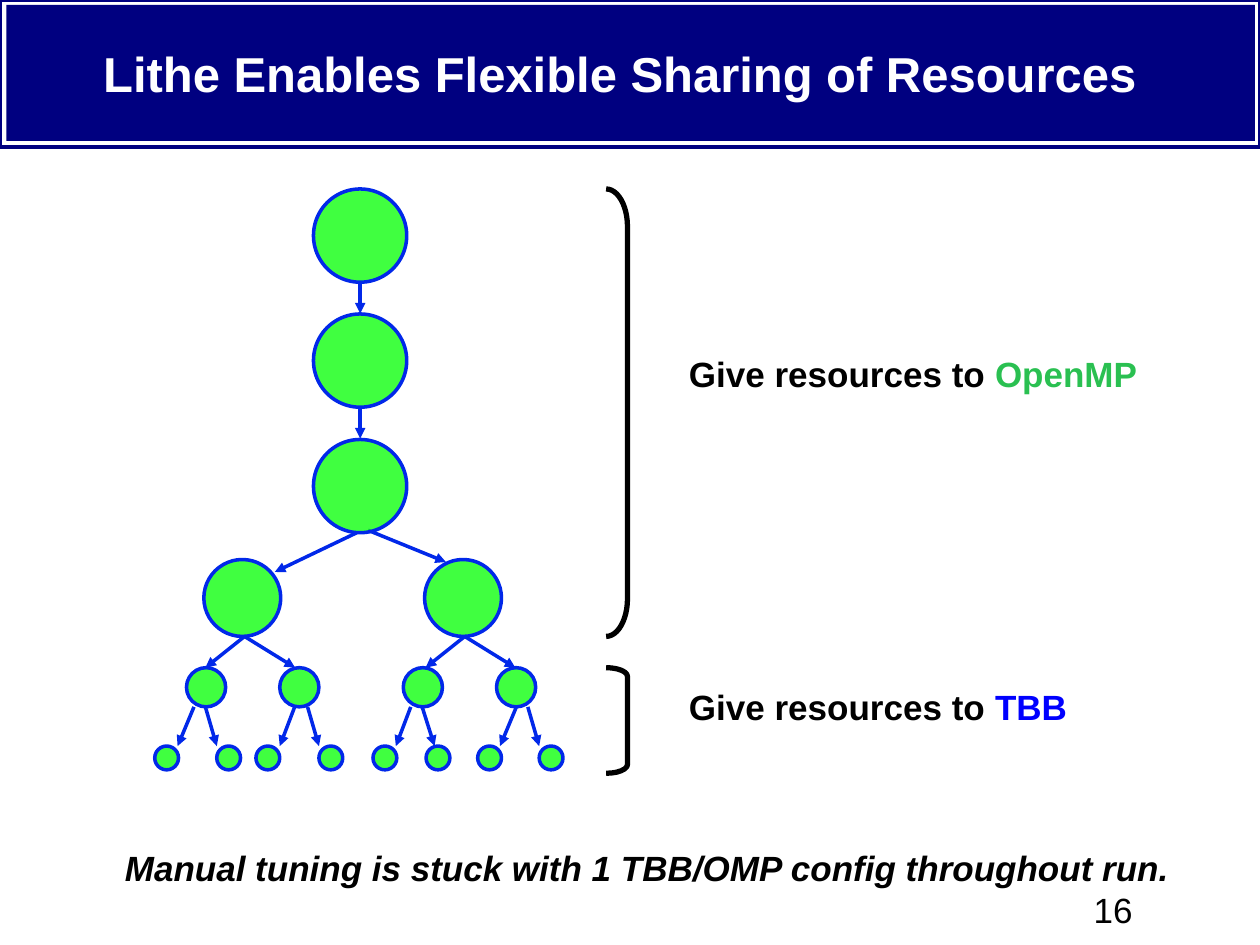
import pptx
import pptx.util
import pptx.dml.color
import pptx.enum.shapes
import pptx.enum.text
import pptx.oxml.ns
from lxml import etree

Cm, Pt, qn = pptx.util.Cm, pptx.util.Pt, pptx.oxml.ns.qn
MSO = pptx.enum.shapes.MSO_SHAPE
ALIGN, ANCHOR = pptx.enum.text.PP_ALIGN, pptx.enum.text.MSO_ANCHOR
NAVY, BLUE, GREEN, BLACK = "000080", "0128E9", "00FF00", "000000"


def rgb(color):
    return pptx.dml.color.RGBColor.from_string(color)


def add_text(box, runs, size, align, bold=True, italic=False, wrap=True, anchor=ANCHOR.TOP):
    tf = s.shapes.add_textbox(*[Cm(v) for v in box]).text_frame
    tf.word_wrap = wrap
    tf.vertical_anchor = anchor
    p = tf.paragraphs[0]
    p.alignment = align
    p.font.name, p.font.size = "Arial", Pt(size)
    p.font.bold, p.font.italic = bold, italic
    for text, color in runs:
        r = p.add_run()
        r.text = text
        r.font.color.rgb = rgb(color)


prs = pptx.Presentation()
prs.slide_width, prs.slide_height = Cm(25.4), Cm(19.05)
s = prs.slides.add_slide(prs.slide_layouts[6])

banner = s.shapes.add_shape(MSO.RECTANGLE, Cm(0.13), Cm(0.1), Cm(25.17), Cm(2.74))
banner.shadow.inherit = False
banner.fill.solid()
banner.fill.fore_color.rgb = rgb(NAVY)
banner.line.fill.background()

frame = s.shapes.add_shape(MSO.RECTANGLE, 0, 0, prs.slide_width, Cm(2.97))
frame.shadow.inherit = False
frame.fill.background()
frame.line.color.rgb = rgb(NAVY)
frame.line.width = Pt(2)

add_text((0.43, 0.2, 24.13, 2.54), [("Lithe Enables Flexible Sharing of Resources", "FFFFFF")],
         28, ALIGN.CENTER, anchor=ANCHOR.MIDDLE)

for top, height, curve, label_top, label_width, name, color in [
    (3.81, 9.02, 1.76, 6.99, 9.73, "OpenMP", "2AC051"),
    (13.46, 2.13, 0.41, 13.69, 8.13, "TBB", "0000FF"),
]:
    bracket = s.shapes.add_shape(MSO.RIGHT_BRACKET, Cm(12.22), Cm(top), Cm(0.43), Cm(height))
    bracket.adjustments[0] = curve
    bracket.shadow.inherit = False
    bracket.fill.background()
    bracket.line.color.rgb = rgb(BLACK)
    bracket.line.width = Pt(3)
    add_text((13.64, label_top, label_width, 1.12),
             [("Give resources to ", BLACK), (name, color)], 20, ALIGN.LEFT, wrap=False)

arrows = [(7.26, 5.69, 7.26, 6.32), (7.26, 8.2, 7.26, 8.84),
          (7.42, 10.69, 8.99, 11.33), (7.19, 10.74, 5.54, 11.53)]
for x in (4.93, 9.37):
    arrows += [(x, 12.83, x - 0.79, 13.46), (x, 12.83, x + 1.02, 13.46)]
for x1, x2 in [(3.91, 3.58), (4.14, 4.37), (5.94, 5.64), (6.2, 6.43),
               (8.28, 7.98), (8.51, 8.76), (10.41, 10.08), (10.64, 10.87)]:
    arrows.append((x1, 14.25, x2, 15.04))

for ends in arrows:
    arrow = s.shapes.add_connector(pptx.enum.shapes.MSO_CONNECTOR.STRAIGHT, *[Cm(v) for v in ends])
    arrow.line.color.rgb = rgb(BLUE)
    arrow.line.width = Pt(2)
    etree.SubElement(arrow.line._get_or_add_ln(), qn("a:tailEnd"), type="triangle")
    etree.SubElement(arrow._element.spPr, qn("a:effectLst"))

for top, size, lefts in [
    (3.81, 1.88, [6.32]),
    (6.33, 1.88, [6.32]),
    (8.86, 1.88, [6.32]),
    (11.28, 1.55, [4.11, 8.56]),
    (13.46, 0.79, [3.76, 5.64, 8.13, 10.01]),
    (15.04, 0.48, [3.12, 4.37, 5.16, 6.43, 7.52, 8.59, 9.63, 10.87]),
]:
    for left in lefts:
        node = s.shapes.add_shape(MSO.OVAL, Cm(left), Cm(top), Cm(size), Cm(size))
        node.shadow.inherit = False
        node.fill.solid()
        node.fill.fore_color.rgb = rgb(GREEN)
        fill = node._element.spPr.find(qn("a:solidFill"))
        etree.SubElement(fill[0], qn("a:alpha"), val="75000")
        node.line.color.rgb = rgb(BLUE)
        node.line.width = Pt(2)

add_text((2.18, 16.94, 21.74, 1.12),
         [("Manual tuning is stuck with 1 TBB/OMP config throughout run.", BLACK)],
         20, ALIGN.CENTER, italic=True)
add_text((19.48, 17.78, 5.92, 0.66), [("16", BLACK)], 20, ALIGN.CENTER, bold=False)

prs.save("out.pptx")
